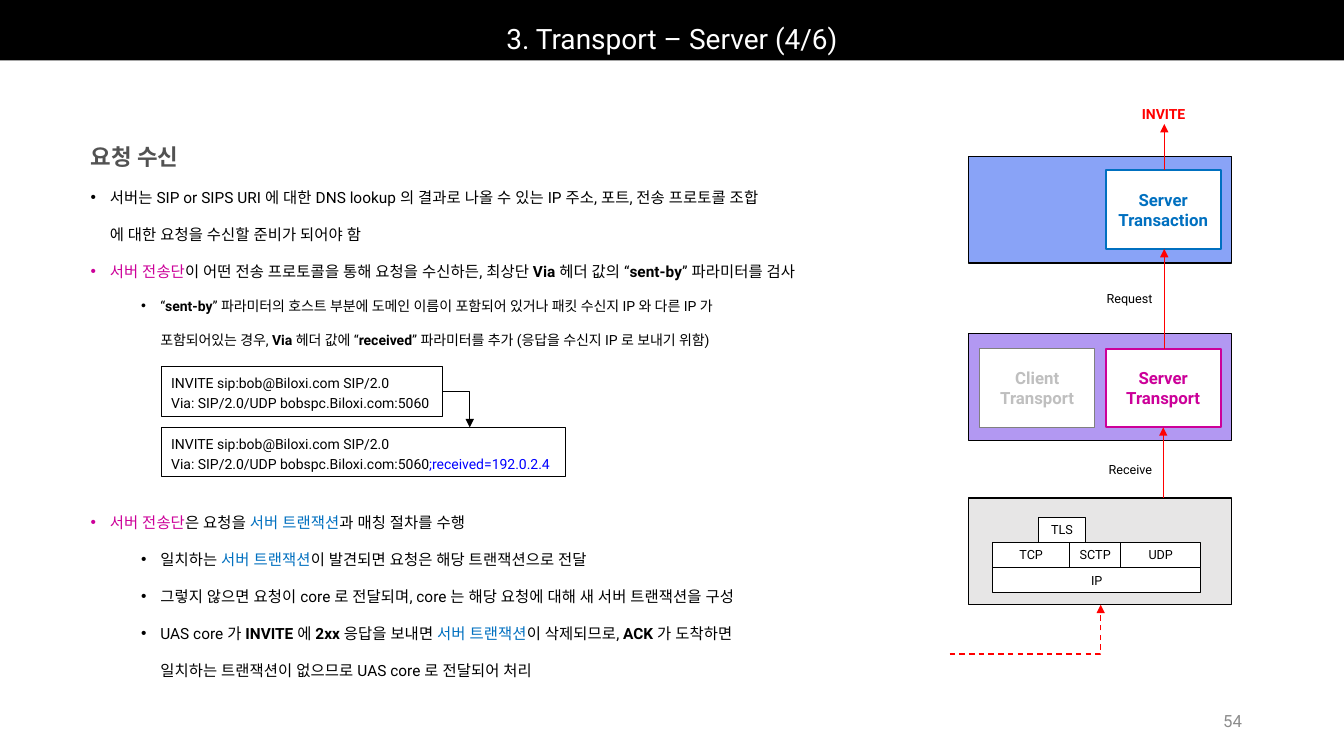
"""Build the slide on how a SIP server transport takes in requests."""
from copy import deepcopy
from dataclasses import dataclass
from typing import Any

from lxml import etree
from pptx import Presentation
from pptx.dml.color import RGBColor
from pptx.enum.dml import MSO_LINE
from pptx.enum.shapes import MSO_CONNECTOR, MSO_SHAPE
from pptx.enum.text import MSO_ANCHOR, MSO_AUTO_SIZE, PP_ALIGN
from pptx.oxml.ns import qn
from pptx.util import Inches, Pt

LEFT, MID, RIGHT = PP_ALIGN.LEFT, PP_ALIGN.CENTER, PP_ALIGN.RIGHT
TOP, HALF, BASE = MSO_ANCHOR.TOP, MSO_ANCHOR.MIDDLE, MSO_ANCHOR.BOTTOM
RECT, DASH, FIXED = MSO_SHAPE.RECTANGLE, MSO_LINE.DASH, MSO_AUTO_SIZE.NONE
LINE, ELBOW = MSO_CONNECTOR.STRAIGHT, MSO_CONNECTOR.ELBOW
UNIT = 0.1
COLS, ROWS = 133.33, 75


@dataclass(frozen=True)
class Theme:
    """Colours, type sizes and font of the slide."""
    font: str = "Roboto"
    ink: str = "000000"
    paper: str = "FFFFFF"
    head: str = "525252"
    pink: str = "CC0099"
    blue: str = "0070C0"
    link: str = "0000FF"
    red: str = "FF0000"
    edge: str = "808080"
    pale: str = "BFBFBF"
    page: str = "8C8C8C"
    sky: str = "89A3F7"
    plum: str = "B298F2"
    fog: str = "E7E6E6"
    title: int = 20
    lead: int = 16
    card: int = 12
    body: int = 11
    note: int = 10
    tag: int = 9


T = Theme()


@dataclass(frozen=True)
class Bit:
    """A stretch of text in one colour and weight."""
    text: str
    tone: str = T.ink
    bold: bool = False


@dataclass(frozen=True)
class Para:
    """A paragraph; level -1 has no bullet."""
    bits: list[Bit]
    size: int = T.body
    level: int = -1
    gap: int = 0


@dataclass(frozen=True)
class Box:
    """A box on the grid; without an edge colour it is plain text."""
    x: float
    y: float
    w: float
    h: float
    paras: list[Para]
    fill: str = ""
    edge: str = ""
    line: float = 0.75
    align: Any = MID
    space: float = 1


@dataclass(frozen=True)
class Arrow:
    """A connector on the grid with a tip at one end."""
    x: float
    y: float
    to_x: float
    to_y: float
    tip: str = "headEnd"
    tone: str = T.red
    line: float = 1
    bent: bool = False
    dash: bool = False


def grid(*cells: float) -> list[int]:
    """Turn grid cells into lengths."""
    return [Inches(cell * UNIT) for cell in cells]


def place(shape: Any, x: float, y: float, w: float, h: float) -> None:
    """Move and size a shape on the grid."""
    shape.left, shape.top, shape.width, shape.height = grid(x, y, w, h)


def write(frame: Any, paras: list[Para], align: Any, space: float, anchor: Any) -> None:
    """Fill a text frame with styled paragraphs."""
    frame.word_wrap, frame.auto_size = True, FIXED
    frame.vertical_anchor = anchor
    frame.margin_left = Inches(0.1 if align == LEFT else 0)
    frame.margin_right = Inches(0.1 if align == RIGHT else 0)
    for spot, item in enumerate(paras):
        para = frame.add_paragraph() if spot else frame.paragraphs[0]
        para.alignment, para.line_spacing = align, space
        para.space_before, para.level = Pt(item.gap), max(item.level, 0)
        for bit in item.bits:
            for part, text in enumerate(bit.text.split("\n")):
                if part:
                    para.add_line_break()
                run = para.add_run()
                run.text = text
                font = run.font
                font.name, font.size, font.bold = T.font, Pt(item.size), bit.bold
                font.color.rgb = RGBColor.from_string(bit.tone)
                etree.SubElement(font._element, qn("a:ea"), typeface=T.font)
        for stop in para._p.findall(qn("a:br")):
            stop.append(deepcopy(para.runs[0].font._element))


def mark(para: Any, level: int) -> None:
    """Give a body paragraph its indent and bullet."""
    props = para._p.get_or_add_pPr()
    hang = Inches(0.19) if level >= 0 else 0
    props.set("marL", str(hang + Inches(0.5) * max(level, 0)))
    props.set("indent", str(-hang))
    if level < 0:
        etree.SubElement(props, qn("a:buNone"))
    else:
        etree.SubElement(props, qn("a:buChar"), char="•")


def draw_box(home: Any, box: Box) -> None:
    """Draw a box or a plain text."""
    area = grid(box.x, box.y, box.w, box.h)
    if box.edge:
        shape = home.add_shape(RECT, *area)
        shape.shadow.inherit = False
        shape.line.color.rgb = RGBColor.from_string(box.edge)
        shape.line.width = Pt(box.line)
        if box.fill:
            shape.fill.solid()
            shape.fill.fore_color.rgb = RGBColor.from_string(box.fill)
        else:
            shape.fill.background()
    else:
        shape = home.add_textbox(*area)
    if box.paras:
        write(shape.text_frame, box.paras, box.align, box.space, HALF)


def draw_arrow(home: Any, arrow: Arrow) -> None:
    """Draw a straight or bent arrow."""
    kind = ELBOW if arrow.bent else LINE
    link = home.add_connector(kind, *grid(arrow.x, arrow.y, arrow.to_x, arrow.to_y))
    link.line.color.rgb = RGBColor.from_string(arrow.tone)
    link.line.width = Pt(arrow.line)
    if arrow.dash:
        link.line.dash_style = DASH
    props = link._element.spPr
    if arrow.bent:
        props.find(qn("a:prstGeom")).set("prst", "bentConnector2")
    etree.SubElement(props.find(qn("a:ln")), qn(f"a:{arrow.tip}"), type="triangle")
    etree.SubElement(props, qn("a:effectLst"))


def plain(text: str, size: int, tone: str = T.ink, bold: bool = False) -> list[Para]:
    """Make one paragraph per line in a single style."""
    return [Para([Bit(row, tone, bold)], size) for row in text.split("\n")]


def panel(y: float, fill: str) -> Box:
    """Make one layer of the stack."""
    return Box(96.1, y, 26.1, 10.6, [], fill, T.ink, 1)


def card(x: float, y: float, text: str, tone: str, edge: str, line: float) -> Box:
    """Make a named part of a layer."""
    return Box(x, y, 11.4, 7.8, plain(text, T.card, tone, True), T.paper, edge, line)


def cell(x: float, row: int, w: float, text: str) -> Box:
    """Make one protocol cell."""
    return Box(x, 51.3 + 2.5 * row, w, 2.5, plain(text, T.tag), T.paper, T.ink)


def label(x: float, y: float, text: str, size: int, tone: str, bold: bool) -> Box:
    """Make a text beside an arrow."""
    return Box(x, y, 6.6, 2.5, plain(text, size, tone, bold), align=LEFT)


SEND, VIA = "INVITE sip:bob@Biloxi.com SIP/2.0", "Via: SIP/2.0/UDP bobspc.Biloxi.com:5060"
ADDED = [Para([Bit(SEND)], T.note),
         Para([Bit(VIA), Bit(";received=192.0.2.4", T.link)], T.note)]
DEAL = Bit("서버 트랜잭션", T.blue)
SIDE = Bit("서버 전송단", T.pink)
BODY = [
    Para([Bit("요청 수신", T.head, True)], T.lead),
    Para([Bit("서버는 SIP or SIPS URI 에 대한 DNS lookup 의 결과로 나올 수 있는 IP 주소, 포트, "
              "전송 프로토콜 조합\n에 대한 요청을 수신할 준비가 되어야 함")], level=0),
    Para([SIDE, Bit("이 어떤 전송 프로토콜을 통해 요청을 수신하든, 최상단 "), Bit("Via ", bold=True),
          Bit("헤더 값의 “"), Bit("sent-by", bold=True), Bit("” 파라미터를 검사")], level=0),
    Para([Bit("“"), Bit("sent-by", bold=True),
          Bit("” 파라미터의 호스트 부분에 도메인 이름이 포함되어 있거나 패킷 수신지 IP 와 다른 IP 가\n"
              "포함되어있는 경우, "), Bit("Via ", bold=True), Bit("헤더 값에 “"),
          Bit("received", bold=True),
          Bit("” 파라미터를 추가 (응답을 수신지 IP 로 보내기 위함)")], T.note, 1),
    Para([SIDE, Bit("은 요청을 "), DEAL, Bit("과 매칭 절차를 수행")], level=0, gap=105),
    Para([Bit("일치하는 "), DEAL, Bit("이 발견되면 요청은 해당 트랜잭션으로 전달")], level=1),
    Para([Bit("그렇지 않으면 요청이 core 로 전달되며, core 는 해당 요청에 대해 "
              "새 서버 트랜잭션을 구성")], level=1),
    Para([Bit("UAS core 가 "), Bit("INVITE ", bold=True), Bit("에 "), Bit("2xx", bold=True),
          Bit(" 응답을 보내면 "), DEAL, Bit("이 삭제되므로, "), Bit("ACK ", bold=True),
          Bit("가 도착하면\n일치하는 트랜잭션이 없으므로 UAS core 로 전달되어 처리")], level=1),
]
BOXES = [
    Box(94.2, 69.5, 30, 4, plain("54", T.card, T.page), align=RIGHT),
    panel(33.1, T.plum), panel(15.5, T.sky),
    card(97.2, 34.6, "Client\nTransport", T.pale, T.edge, 1),
    card(109.7, 34.6, "Server\nTransport", T.pink, T.pink, 1.5),
    card(109.7, 16.9, "Server\nTransaction", T.blue, T.blue, 1.5),
    label(108.8, 28.4, "Request", T.tag, T.ink, False),
    label(109, 45.3, "Receive", T.tag, T.ink, False),
    label(112.3, 10, "INVITE", T.note, T.red, True),
    Box(16, 36.4, 27.9, 4.9, plain(f"{SEND}\n{VIA}", T.note), "", T.ink, align=LEFT, space=1.2),
    Box(16, 42.4, 40.1, 4.9, ADDED, "", T.ink, align=LEFT, space=1.2),
]
STACK = [panel(49.4, T.fog), cell(103, 0, 4.7, "TLS"), cell(98.5, 1, 7.6, "TCP"),
         cell(106.1, 1, 5.1, "SCTP"), cell(111.2, 1, 7.9, "UDP"), cell(98.5, 2, 20.6, "IP")]
ARROWS = [
    Arrow(115.5, 24.7, 115.5, 34.6), Arrow(115.4, 42.4, 115.4, 49.4),
    Arrow(115.5, 12.3, 115.5, 16.9),
    Arrow(94.2, 64.9, 109.2, 60, "tailEnd", bent=True, dash=True),
    Arrow(43.9, 38.8, 46.6, 42.4, "tailEnd", T.ink, 0.5, True),
]


def main() -> None:
    """Build and save the slide."""
    deck = Presentation()
    deck.slide_width, deck.slide_height = grid(COLS, ROWS)
    slide = deck.slides.add_slide(deck.slide_layouts[1])
    title, body = slide.placeholders
    place(title, 0, 0, COLS, 6)
    title.fill.solid()
    title.fill.fore_color.rgb = RGBColor.from_string(T.ink)
    write(title.text_frame, plain("3. Transport – Server (4/6)", T.title, T.paper), MID, 0.9, BASE)
    place(body, 8, 11, 74.8, 57.1)
    write(body.text_frame, BODY, LEFT, 2, TOP)
    for para, item in zip(body.text_frame.paragraphs, BODY):
        mark(para, item.level)
    for box in BOXES:
        draw_box(slide.shapes, box)
    group = slide.shapes.add_group_shape()
    for box in STACK:
        draw_box(group.shapes, box)
    for arrow in ARROWS:
        draw_arrow(slide.shapes, arrow)
    deck.save("out.pptx")


if __name__ == "__main__":
    main()
